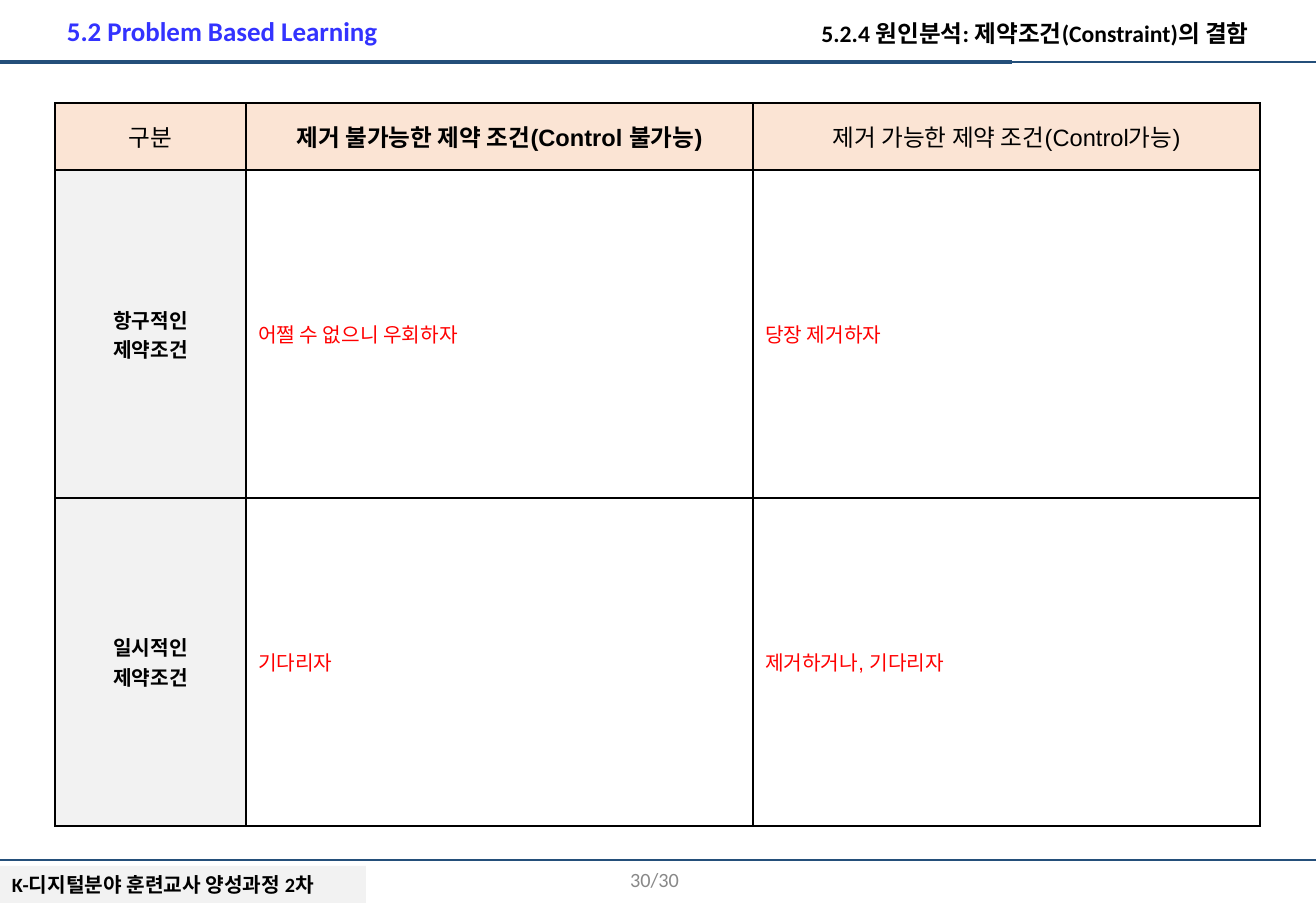
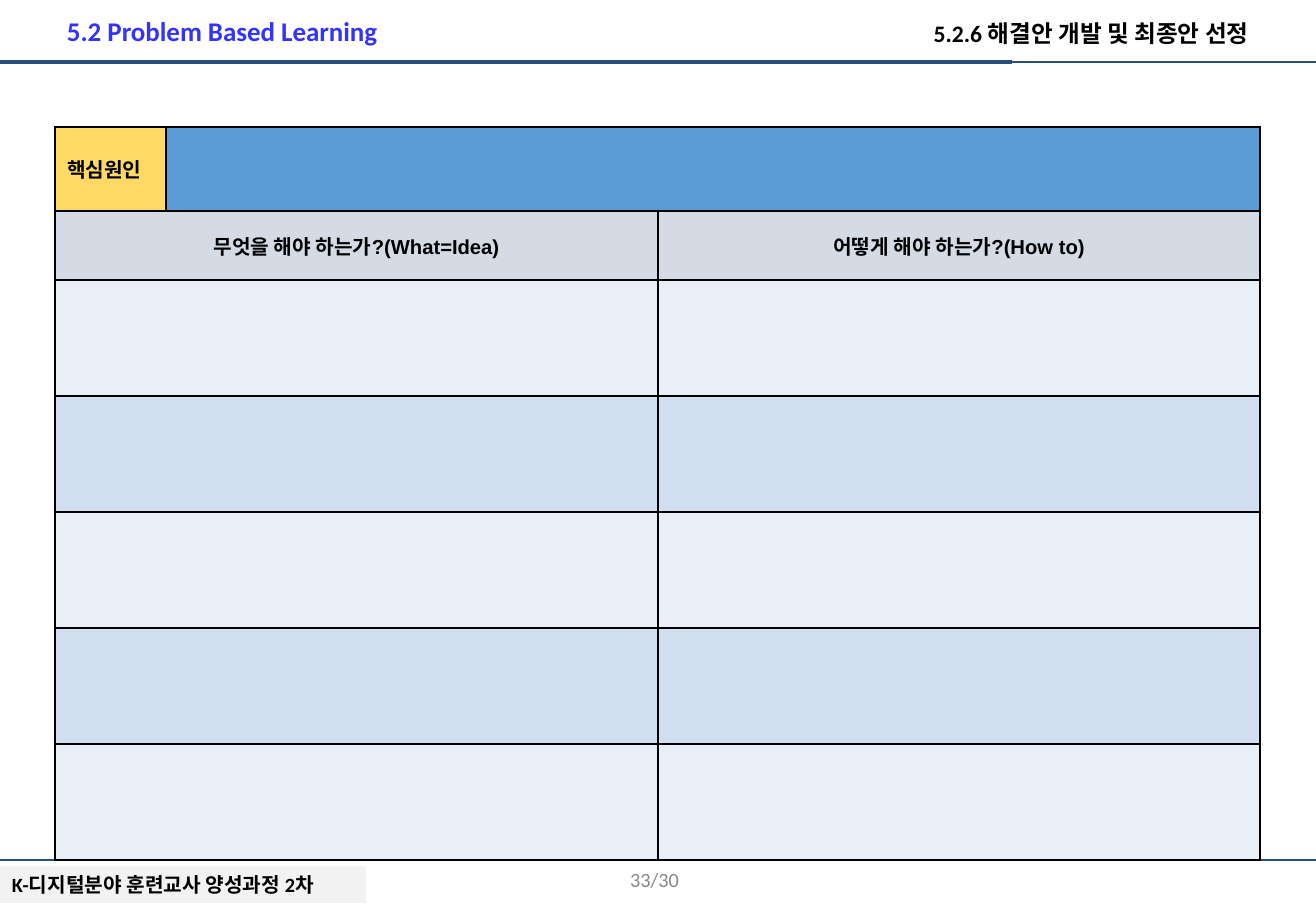
from lxml.etree import SubElement
from pptx import Presentation
from pptx.dml.color import RGBColor
from pptx.enum.shapes import MSO_CONNECTOR, MSO_SHAPE
from pptx.enum.text import MSO_ANCHOR, MSO_AUTO_SIZE, PP_ALIGN
from pptx.oxml import parse_xml
from pptx.oxml.ns import nsdecls, qn
from pptx.util import Pt

PX = 914400 / 121.5
PAGE_WIDTH, PAGE_HEIGHT = 1316, 911
MARGIN = 55
RULE_COLOR = "244F7A"
LEFT, CENTER, RIGHT = PP_ALIGN.LEFT, PP_ALIGN.CENTER, PP_ALIGN.RIGHT

# Text styles: font, size, colour, bold, alignment
STYLES = {
    "topic": ("Calibri", 14, "000000", True, RIGHT),
    "section": ("Calibri", 16, "3333FF", True, LEFT),
    "footer": ("Calibri", 12, "000000", True, LEFT),
    "number": ("Calibri", 12, "888888", False, RIGHT),
    "head": ("Arial", 14, "000000", False, CENTER),
    "strong head": ("Arial", 14, "000000", True, CENTER),
    "label": ("Arial", 12, "000000", True, CENTER),
    "left label": ("Arial", 12, "000000", True, LEFT),
    "answer": ("Arial", 12, "FF0000", False, LEFT),
}

# Cells: text, style, fill; None continues the cell to its left
PEACH, GRAY, HEAD_BLUE = "FBE4D4", "F2F2F2", "D5DBE5"
constraint_cells = [
    [("구분", "head", PEACH),
     ("제거 불가능한 제약 조건(Control 불가능)", "strong head", PEACH),
     ("제거 가능한 제약 조건(Control가능)", "head", PEACH)],
    [("항구적인\n제약조건", "label", GRAY),
     ("어쩔 수 없으니 우회하자", "answer", None),
     ("당장 제거하자", "answer", None)],
    [("일시적인\n제약조건", "label", GRAY),
     ("기다리자", "answer", None),
     ("제거하거나, 기다리자", "answer", None)],
]
solution_cells = [
    [("핵심원인", "left label", "FFD966"), ("", "label", "5B9BD5"), None],
    [("무엇을 해야 하는가?(What=Idea)", "label", HEAD_BLUE), None,
     ("어떻게 해야 하는가?(How to)", "label", HEAD_BLUE)],
]
for index in range(5):
    band = ("", "label", "D0DEEF" if index % 2 else "E9EFF7")
    solution_cells.append([band, None, band])

SLIDES = [
    {"topic": "5.2.4 원인분석: 제약조건(Constraint)의 결함", "topic_left": 746,
     "number": "30/30", "top": 103, "columns": [191, 507, 507],
     "rows": [67, 328, 328], "cells": constraint_cells},
    {"topic": "5.2.6 해결안 개발 및 최종안 선정", "topic_left": 878,
     "number": "33/30", "top": 127, "columns": [111, 492, 602],
     "rows": [84, 69] + [116] * 5, "cells": solution_cells},
]


def px(*lengths):
    return [round(length * PX) for length in lengths]


def write(frame, text, style, anchor=MSO_ANCHOR.TOP):
    font, size, color, bold, alignment = STYLES[style]
    frame.word_wrap = True
    frame.vertical_anchor = anchor
    frame.text = text
    for para in frame.paragraphs:
        para.alignment = alignment
        for span in para.runs:
            settings = {"name": font, "size": Pt(size), "bold": bold}
            for name, value in settings.items():
                setattr(span.font, name, value)
            span.font.color.rgb = RGBColor.from_string(color)


deck = Presentation()
deck.slide_width, deck.slide_height = px(PAGE_WIDTH, PAGE_HEIGHT)

for content in SLIDES:
    page = deck.slides.add_slide(deck.slide_layouts[5])

    # Footer band
    footer = page.shapes.add_shape(MSO_SHAPE.RECTANGLE, *px(0, 866, 366, 37))
    footer.shadow.inherit = False
    footer.fill.solid()
    footer.fill.fore_color.rgb = RGBColor.from_string(GRAY)
    footer.line.fill.background()
    write(footer.text_frame, "K-디지털분야 훈련교사 양성과정 2차", "footer")

    # Header and footer rules
    for right, y, weight in [(PAGE_WIDTH, 62, 0.75), (1012, 62, 2.5), (PAGE_WIDTH, 860, 0.75)]:
        rule = page.shapes.add_connector(MSO_CONNECTOR.STRAIGHT, *px(0, y, right, y))
        rule.line.color.rgb = RGBColor.from_string(RULE_COLOR)
        rule.line.width = Pt(weight)
        SubElement(rule._element.spPr, qn("a:effectLst"))

    # Topic as the slide title, section name on the left
    title = page.shapes.title
    left = content["topic_left"]
    title.left, title.top, title.width, title.height = px(left, 13, 1261 - left, 41)
    title.text_frame.auto_size = MSO_AUTO_SIZE.NONE
    write(title.text_frame, content["topic"], "topic")
    section = page.shapes.add_textbox(*px(MARGIN, 9, 400, 45))
    write(section.text_frame, "5.2 Problem Based Learning", "section")

    # Table
    columns, rows = content["columns"], content["rows"]
    table = page.shapes.add_table(
        len(rows), len(columns),
        *px(MARGIN, content["top"], sum(columns), sum(rows))).table
    table.first_row = table.horz_banding = False
    for column, width in zip(table.columns, px(*columns)):
        column.width = width
    for row, height in zip(table.rows, px(*rows)):
        row.height = height
    for r, row_cells in enumerate(content["cells"]):
        for c, entry in enumerate(row_cells):
            cell = table.cell(r, c)
            if entry is None:
                table.cell(r, c - 1).merge(cell)
            else:
                text, style, fill = entry
                write(cell.text_frame, text, style)
                cell.vertical_anchor = MSO_ANCHOR.MIDDLE
                if fill:
                    cell.fill.solid()
                    cell.fill.fore_color.rgb = RGBColor.from_string(fill)
                else:
                    cell.fill.background()
            # Thin black border on each side
            properties = cell._tc.get_or_add_tcPr()
            for position, side in enumerate(["lnL", "lnR", "lnT", "lnB"]):
                properties.insert(position, parse_xml(
                    f'<a:{side} {nsdecls("a")} w="12700"><a:solidFill>'
                    f'<a:srgbClr val="000000"/></a:solidFill></a:{side}>'))

    # Page number
    number = page.shapes.add_textbox(*px(395, 855, 296, 49))
    write(number.text_frame, content["number"], "number", MSO_ANCHOR.MIDDLE)

deck.save("out.pptx")
